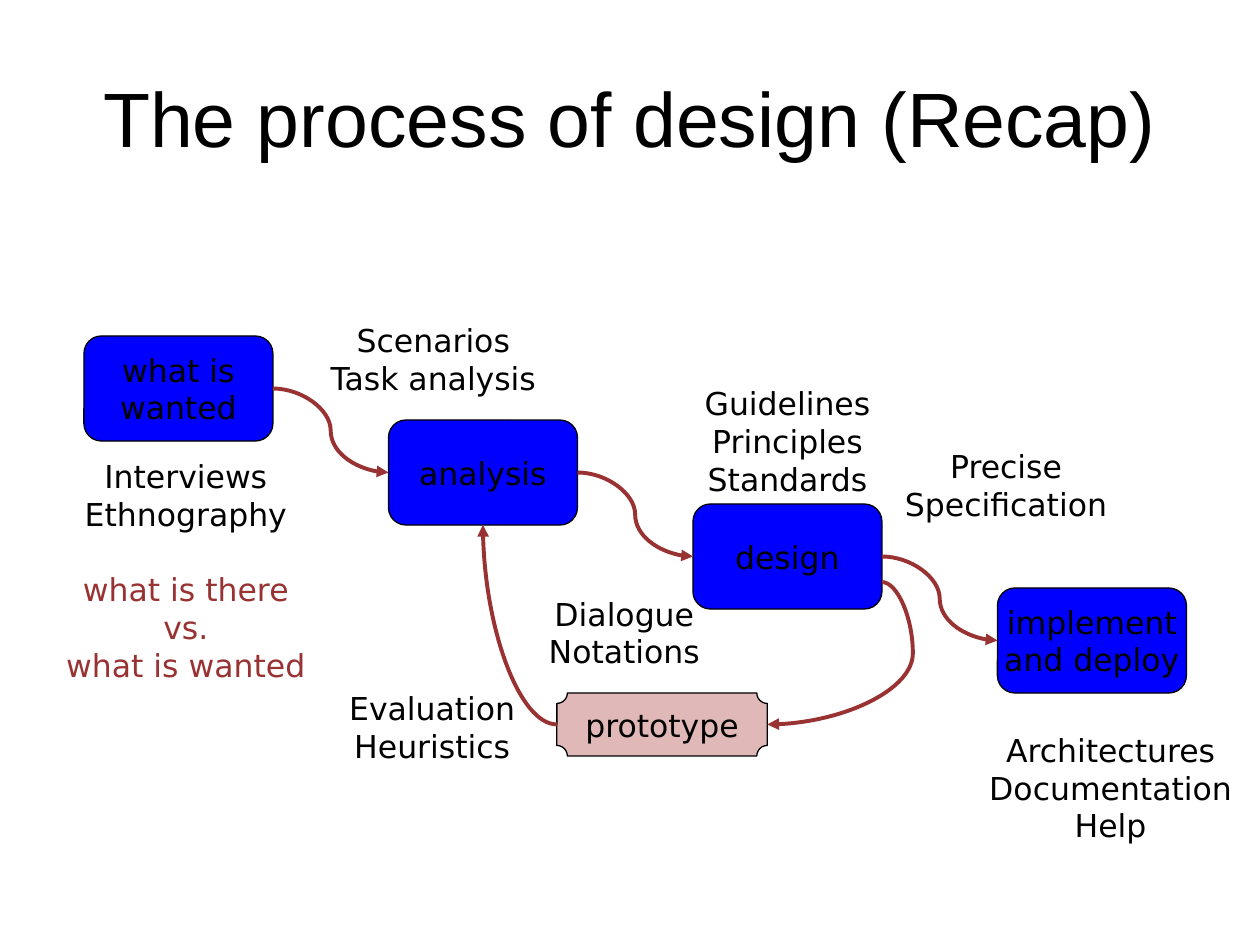
"""Build the design process slide."""
from dataclasses import dataclass

from lxml import etree
from pptx import Presentation
from pptx import util as u
from pptx.dml.color import RGBColor
from pptx.enum import shapes, text
from pptx.oxml.ns import qn


@dataclass(frozen=True)
class Theme:
    ink: str = "000000"
    accent: str = "993333"
    stage: str = "0000FF"
    prototype: str = "E1B8B8"
    title_font: str = "Arial"
    body_font: str = "DejaVu Sans"
    title_size: int = 44
    body_size: int = 18
    outline: float = 0.75
    arrow: float = 2.25


class Deck:
    TOP, LEFT, BOTTOM, RIGHT = range(4)

    def __init__(self, theme):
        self.theme = theme
        self.prs = Presentation()
        self.prs.slide_width, self.prs.slide_height = u.Inches(10), u.Inches(7.5)
        self.s = self.prs.slides.add_slide(self.prs.slide_layouts[6])

    def set_words(self, tf, words, font=None, size=None):
        tf.text = words
        for p in tf.paragraphs:
            p.alignment = text.PP_ALIGN.CENTER
            for r in p.runs:
                r.font.name = font or self.theme.body_font
                r.font.size = u.Pt(size or self.theme.body_size)
                r.font.color.rgb = RGBColor.from_string(self.theme.ink)

    def title(self, words, *box):
        tf = self.s.shapes.add_textbox(*map(u.Inches, box)).text_frame
        tf.word_wrap = True
        tf.vertical_anchor = text.MSO_ANCHOR.MIDDLE
        self.set_words(tf, words, self.theme.title_font, self.theme.title_size)

    def label(self, words, *box):
        tf = self.s.shapes.add_textbox(*map(u.Inches, box)).text_frame
        tf.word_wrap = False
        tf.auto_size = text.MSO_AUTO_SIZE.SHAPE_TO_FIT_TEXT
        self.set_words(tf, words)
        return tf

    def accent(self, paragraphs, gap):
        paragraphs[0].space_before = u.Pt(gap)
        for p in paragraphs:
            for r in p.runs:
                r.font.color.rgb = RGBColor.from_string(self.theme.accent)

    def node(self, kind, words, fill, *box):
        sp = self.s.shapes.add_shape(kind, *map(u.Inches, box))
        sp.shadow.inherit = False
        sp.fill.solid()
        sp.fill.fore_color.rgb = RGBColor.from_string(fill)
        sp.line.color.rgb = RGBColor.from_string(self.theme.ink)
        sp.line.width = u.Pt(self.theme.outline)
        sp.text_frame.word_wrap = False
        sp.text_frame.vertical_anchor = text.MSO_ANCHOR.MIDDLE
        self.set_words(sp.text_frame, words)
        return sp

    def arrow(self, start, end, source=None, target=None, preset=None, bend=None):
        points = map(u.Inches, (*start, *end))
        c = self.s.shapes.add_connector(shapes.MSO_CONNECTOR.CURVE, *points)
        if source:
            c.begin_connect(*source)
        if target:
            c.end_connect(*target)
        c.line.color.rgb = RGBColor.from_string(self.theme.accent)
        c.line.width = u.Pt(self.theme.arrow)
        props = c._element.spPr
        etree.SubElement(props.find(qn("a:ln")), qn("a:tailEnd"), type="triangle")
        etree.SubElement(props, qn("a:effectLst"))
        geometry = props.find(qn("a:prstGeom"))
        if preset:
            geometry.set("prst", preset)
        if bend is not None:
            guides = geometry.find(qn("a:avLst"))
            if guides is None:
                guides = etree.SubElement(geometry, qn("a:avLst"))
            etree.SubElement(guides, qn("a:gd"), name="adj1", fmla=f"val {round(bend * 100000)}")


def main():
    theme = Theme()
    deck = Deck(theme)
    deck.title("The process of design (Recap)", 0.5, 0.3, 9, 1.25)

    width, height = 1.5, 5 / 6
    names = ("what is\nwanted", "analysis", "design", "implement\nand deploy")
    corners = [(2 / 3 + 29 / 12 * i, 8 / 3 + 2 / 3 * i) for i in range(len(names))]
    stages = [
        deck.node(shapes.MSO_SHAPE.ROUNDED_RECTANGLE, name, theme.stage, x, y, width, height)
        for name, (x, y) in zip(names, corners)
    ]
    prototype = deck.node(
        shapes.MSO_SHAPE.PLAQUE, "prototype", theme.prototype, 4.42, 5.5, 1.67, 0.5)

    for i in range(len(stages) - 1):
        (x, y), (next_x, next_y) = corners[i:i + 2]
        deck.arrow((x + width, y + height / 2), (next_x, next_y + height / 2),
                   (stages[i], deck.RIGHT), (stages[i + 1], deck.LEFT))
    deck.arrow((7, 4.62), (6.08, 5.75), target=(prototype, deck.RIGHT), bend=-0.27)
    deck.arrow((4.42, 5.75), (3.83, 4.17), (prototype, deck.LEFT),
               (stages[1], deck.BOTTOM), preset="curvedConnector2")

    research = deck.label(
        "Interviews\nEthnography\nwhat is there\nvs.\nwhat is wanted", 0.42, 3.58, 2.11, 1.92)
    deck.accent(research.paragraphs[2:], 21.5)
    for words, *box in (
        ("Guidelines\nPrinciples\nStandards", 5.49, 3, 1.52, 1.01),
        ("Dialogue\nNotations", 4.25, 4.67, 1.41, 0.71),
        ("Precise\nSpecification", 7.08, 3.5, 1.81, 0.71),
        ("Architectures\nDocumentation\nHelp", 7.75, 5.75, 2.13, 1.01),
        ("Evaluation\nHeuristics", 2.67, 5.42, 1.52, 0.71),
        ("Scenarios\nTask analysis", 2.51, 2.5, 1.86, 0.71),
    ):
        deck.label(words, *box)
    deck.prs.save("out.pptx")


if __name__ == "__main__":
    main()
